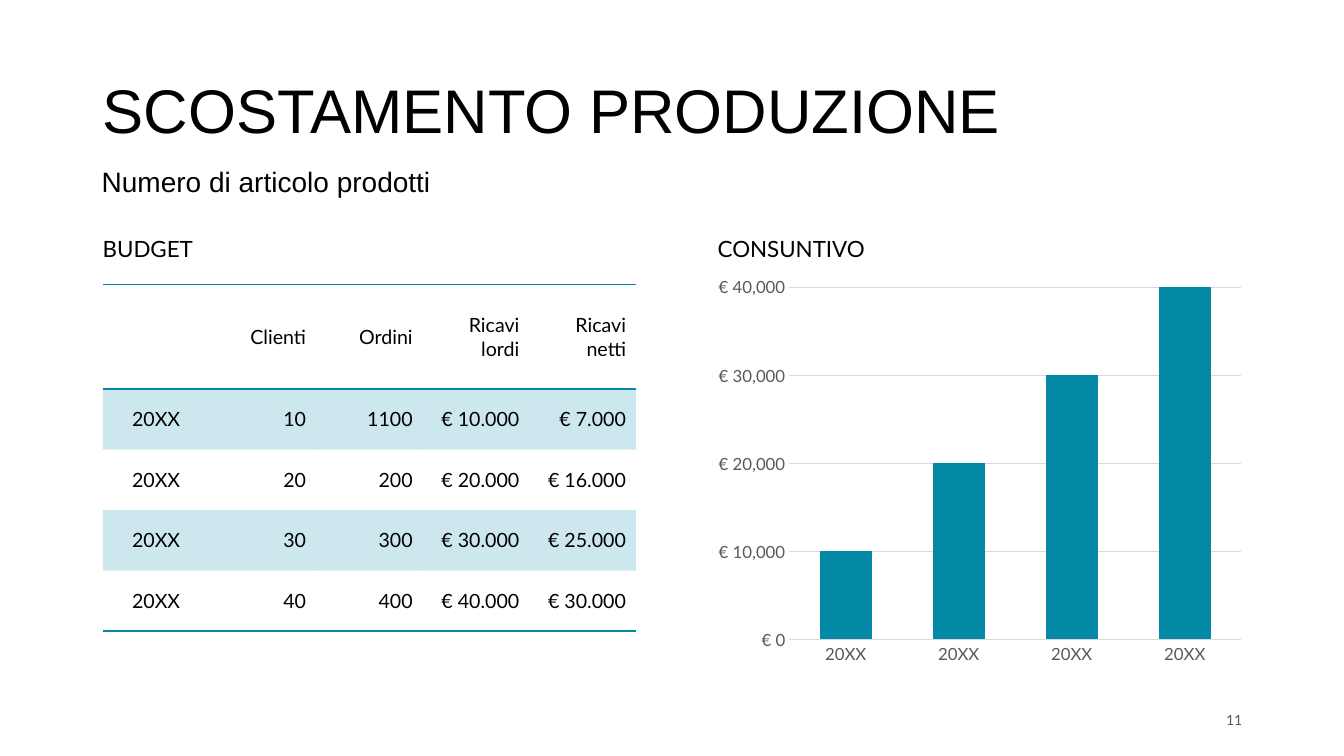
"""Build the production variance slide with a budget table and an actuals chart."""
from dataclasses import dataclass

from lxml.etree import SubElement
from pptx import Presentation
from pptx.chart.axis import _BaseAxis as Axis
from pptx.chart.data import CategoryChartData
from pptx.dml.color import RGBColor
from pptx.enum.chart import XL_CHART_TYPE as ChartType, XL_TICK_MARK as TickMark
from pptx.enum.text import MSO_ANCHOR as Anchor, PP_ALIGN as Align
from pptx.oxml import parse_xml
from pptx.oxml.ns import nsdecls, qn
from pptx.slide import Slide
from pptx.table import _Cell as Cell
from pptx.text.text import Font
from pptx.util import Inches, Pt

TEAL = RGBColor(0x03, 0x88, 0xA6)
BLACK = RGBColor(0x00, 0x00, 0x00)
GRAY = RGBColor(0x59, 0x59, 0x59)
LIGHT_GRAY = RGBColor(0xD9, 0xD9, 0xD9)
NO_TABLE_STYLE = "{2D5ABB26-0587-4C30-8999-92F81FD0307C}"

BUDGET_ROWS = (
    ("", "Clienti", "Ordini", "Ricavi lordi", "Ricavi netti"),
    ("20XX", "10", "1100", "€ 10.000", "€ 7.000"),
    ("20XX", "20", "200", "€ 20.000", "€ 16.000"),
    ("20XX", "30", "300", "€ 30.000", "€ 25.000"),
    ("20XX", "40", "400", "€ 40.000", "€ 30.000"),
)


@dataclass(frozen=True)
class Label:
    text: str
    left: float
    top: float
    width: float
    height: float
    size: int
    font: str = "Lato"
    color: RGBColor = BLACK
    anchor: Anchor = Anchor.BOTTOM
    align: Align = Align.LEFT


LABELS = (
    Label("SCOSTAMENTO PRODUZIONE", 0.92, 0.4, 11.5, 1.45, 44, "Arial", anchor=Anchor.MIDDLE),
    Label("Numero di articolo prodotti", 0.91, 1.62, 9.1, 0.4, 20, "Arial", anchor=Anchor.TOP),
    Label("BUDGET", 0.92, 1.85, 5.64, 0.8, 16),
    Label("CONSUNTIVO", 7.02, 1.85, 5.67, 0.8, 16),
    Label("11", 9.42, 6.95, 3, 0.4, 10, color=GRAY, anchor=Anchor.MIDDLE, align=Align.RIGHT),
)


def style_font(font: Font, size: int, color: RGBColor, name: str = "Lato") -> None:
    font.name = name
    font.size = Pt(size)
    font.color.rgb = color


def add_label(slide: Slide, label: Label) -> None:
    box = slide.shapes.add_textbox(
        Inches(label.left), Inches(label.top), Inches(label.width), Inches(label.height)
    )
    frame = box.text_frame
    frame.word_wrap = True
    frame.vertical_anchor = label.anchor
    frame.text = label.text
    paragraph = frame.paragraphs[0]
    paragraph.alignment = label.align
    paragraph.line_spacing = 0.9
    style_font(paragraph.runs[0].font, label.size, label.color, label.font)


def fill_cell(cell: Cell, banded: bool) -> None:
    if not banded:
        cell.fill.background()
        return
    cell.fill.solid()
    cell.fill.fore_color.rgb = TEAL
    color = cell._tc.tcPr.find(qn("a:solidFill")).find(qn("a:srgbClr"))
    SubElement(color, qn("a:alpha"), val="20000")


def add_borders(cell: Cell, sides: tuple[str, ...]) -> None:
    for position, side in enumerate(sides):
        border = parse_xml(
            f'<a:{side} {nsdecls("a")} w="{Pt(1)}"><a:solidFill>'
            f'<a:srgbClr val="{TEAL}"/></a:solidFill></a:{side}>'
        )
        cell._tc.get_or_add_tcPr().insert(position, border)


def add_budget_table(slide: Slide) -> None:
    last = len(BUDGET_ROWS) - 1
    table = slide.shapes.add_table(
        len(BUDGET_ROWS), len(BUDGET_ROWS[0]),
        Inches(1.02), Inches(2.82), Inches(5.29), Inches(3.43),
    ).table
    table.first_row = table.horz_banding = False
    table._tbl.tblPr.find(qn("a:tableStyleId")).text = NO_TABLE_STYLE
    for row_index, values in enumerate(BUDGET_ROWS):
        table.rows[row_index].height = Inches(0.6 if row_index else 1.04)
        for column_index, value in enumerate(values):
            cell = table.cell(row_index, column_index)
            cell.text_frame.text = value
            cell.vertical_anchor = Anchor.MIDDLE
            paragraph = cell.text_frame.paragraphs[0]
            paragraph.alignment = Align.RIGHT if column_index else Align.CENTER
            style_font(paragraph.font, 14, BLACK)
            for run in paragraph.runs:
                style_font(run.font, 14, BLACK)
            fill_cell(cell, row_index % 2 == 1)
            if row_index == 0:
                add_borders(cell, ("lnT", "lnB"))
            elif row_index == last:
                add_borders(cell, ("lnB",))


def style_axis(axis: Axis) -> None:
    axis.major_tick_mark = axis.minor_tick_mark = TickMark.NONE
    style_font(axis.tick_labels.font, 12, GRAY)


def add_actuals_chart(slide: Slide) -> None:
    data = CategoryChartData()
    data.categories = ["20XX"] * 4
    data.add_series("Series 1", (10000, 20000, 30000, 40000))
    chart = slide.shapes.add_chart(
        ChartType.COLUMN_CLUSTERED,
        Inches(7.02), Inches(2.67), Inches(5.4), Inches(3.99), data,
    ).chart
    chart.has_legend = chart.has_title = False
    style_font(chart.font, 10, BLACK)

    plot = chart.plots[0]
    plot.vary_by_categories = False
    plot.gap_width = 118
    plot.overlap = -3
    fill = plot.series[0].format.fill
    fill.solid()
    fill.fore_color.rgb = TEAL

    category_axis, value_axis = chart.category_axis, chart.value_axis
    style_axis(category_axis)
    style_axis(value_axis)
    value_axis.minimum_scale = 0
    value_axis.maximum_scale = 40000
    value_axis.major_unit = 10000
    value_axis.tick_labels.number_format = '"€" #,##0'
    value_axis.tick_labels.number_format_is_linked = False
    value_axis.format.line.fill.background()
    for line in (category_axis.format.line, value_axis.major_gridlines.format.line):
        line.color.rgb = LIGHT_GRAY
        line.width = Pt(0.75)


def main() -> None:
    presentation = Presentation()
    presentation.slide_width = Inches(13.33)
    presentation.slide_height = Inches(7.5)
    slide = presentation.slides.add_slide(presentation.slide_layouts[6])
    for label in LABELS:
        add_label(slide, label)
    add_budget_table(slide)
    add_actuals_chart(slide)
    presentation.save("out.pptx")


if __name__ == "__main__":
    main()
